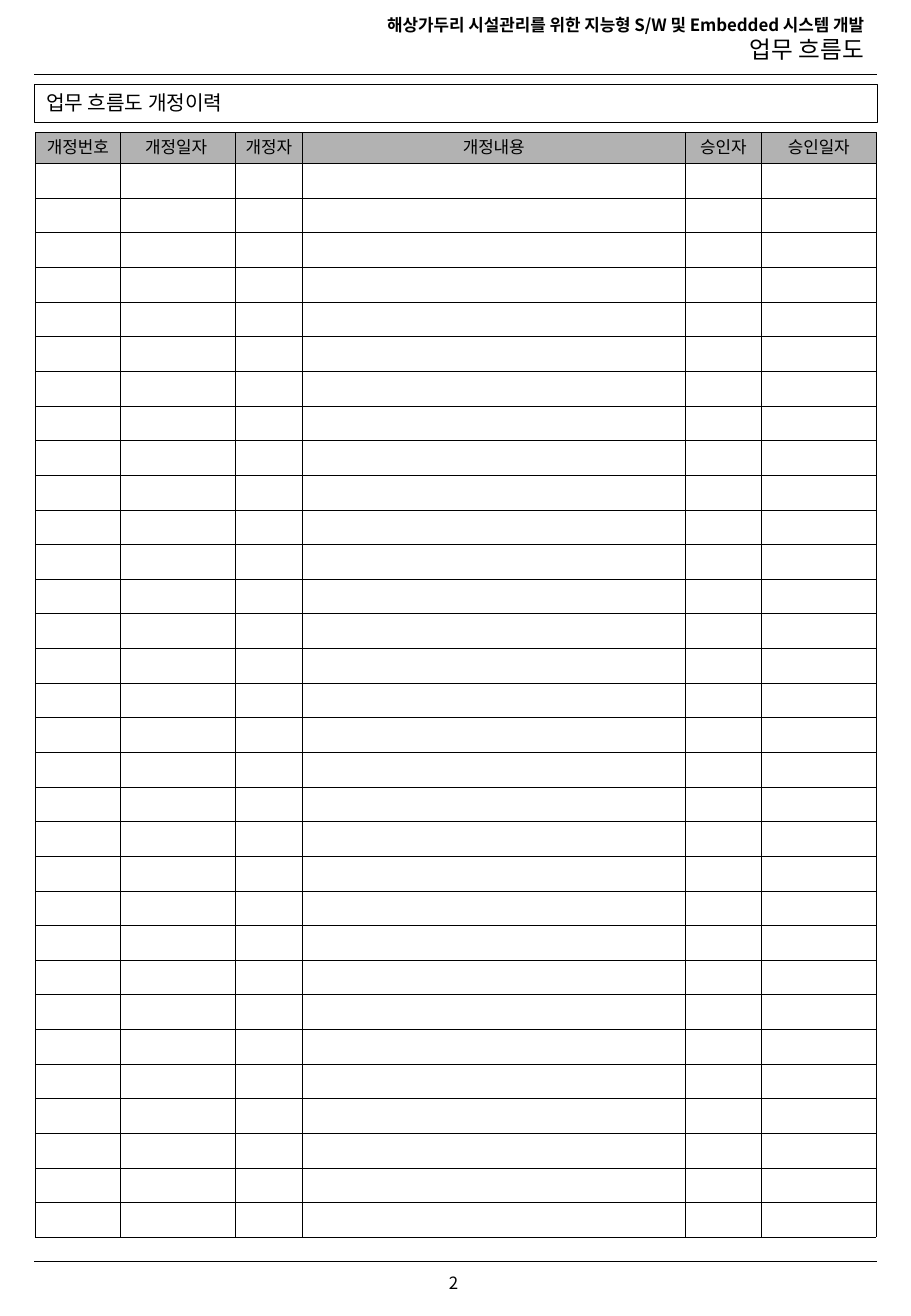
from lxml.etree import SubElement
from pptx import Presentation
from pptx.dml.color import RGBColor
from pptx.enum.shapes import MSO_CONNECTOR as Connector, MSO_SHAPE as Shape
from pptx.enum.text import MSO_ANCHOR as Anchor, PP_ALIGN as Align
from pptx.oxml.ns import qn
from pptx.util import Pt

BLACK = RGBColor(0, 0, 0)
WHITE = RGBColor(255, 255, 255)
HEADER_GRAY = RGBColor(0xB2, 0xB2, 0xB2)
KOREAN_FONT = "Noto Sans CJK KR"
HEADING_FONT = "Cabin"
LINE_WIDTH = Pt(0.25)
LEFT, RIGHT = 20.2, 519.8

COLUMNS = [("개정번호", 50.5), ("개정일자 ", 68.2), ("개정자", 39.6),
           ("개정내용", 227), ("승인자", 45.2), ("승인일자", 68)]
EMPTY_ROWS = 31
HEADER_HEIGHT, ROW_HEIGHT = 18.3, 20.55


def style_paragraph(para, size, align=Align.LEFT, bold=False, font=KOREAN_FONT):
    para.alignment = align
    for span in para.runs:
        span.font.size = Pt(size)
        span.font.bold = bold
        span.font.color.rgb = BLACK
        span.font.name = font
        SubElement(span.font._element, qn("a:ea"), typeface=KOREAN_FONT)


def add_text(page, left, top, width, height, lines, align=Align.LEFT,
             font=KOREAN_FONT, wrap=False):
    """Add a text box; each line is a (text, size, bold) tuple."""
    box = page.shapes.add_textbox(Pt(left), Pt(top), Pt(width), Pt(height))
    frame = box.text_frame
    frame.word_wrap = wrap
    frame.text = "\n".join(text for text, _, _ in lines)
    for para, (_, size, bold) in zip(frame.paragraphs, lines):
        style_paragraph(para, size, align, bold, font)
    return frame


def add_rule(page, top):
    rule = page.shapes.add_connector(Connector.STRAIGHT, Pt(LEFT), Pt(top), Pt(RIGHT), Pt(top))
    rule.line.color.rgb = BLACK
    rule.line.width = LINE_WIDTH
    SubElement(rule._element.spPr, qn("a:effectLst"))


def add_frame(page, top, height):
    frame = page.shapes.add_shape(Shape.RECTANGLE, Pt(LEFT), Pt(top), Pt(RIGHT - LEFT), Pt(height))
    frame.shadow.inherit = False
    frame.fill.background()
    frame.line.color.rgb = BLACK
    frame.line.width = LINE_WIDTH


def style_cell(cell, color):
    properties = cell._tc.get_or_add_tcPr()
    for side in ("a:lnL", "a:lnR", "a:lnT", "a:lnB"):
        border = SubElement(properties, qn(side), w=str(LINE_WIDTH))
        fill = SubElement(border, qn("a:solidFill"))
        SubElement(fill, qn("a:srgbClr"), val=str(BLACK))
    cell.fill.solid()
    cell.fill.fore_color.rgb = color
    cell.vertical_anchor = Anchor.MIDDLE
    cell.margin_left = cell.margin_right = Pt(4)
    cell.margin_top = cell.margin_bottom = 0


def add_revision_table(page, left, top):
    width = sum(column_width for _, column_width in COLUMNS)
    height = HEADER_HEIGHT + EMPTY_ROWS * ROW_HEIGHT
    table = page.shapes.add_table(EMPTY_ROWS + 1, len(COLUMNS), Pt(left), Pt(top),
                                  Pt(width), Pt(height)).table
    table.first_row = table.horz_banding = False
    for row in table.rows:
        row.height = Pt(ROW_HEIGHT)
    table.rows[0].height = Pt(HEADER_HEIGHT)
    for index, (title, column_width) in enumerate(COLUMNS):
        table.columns[index].width = Pt(column_width)
        header = table.cell(0, index)
        style_cell(header, HEADER_GRAY)
        header.text_frame.text = title
        para = header.text_frame.paragraphs[0]
        para.line_spacing = 0.84
        style_paragraph(para, 10, Align.CENTER)
        for row in range(1, EMPTY_ROWS + 1):
            cell = table.cell(row, index)
            style_cell(cell, WHITE)
            # A small end mark keeps the empty row from growing
            SubElement(cell.text_frame.paragraphs[0]._p, qn("a:endParaRPr"), sz="800")


def main():
    deck = Presentation()
    deck.slide_width, deck.slide_height = Pt(540), Pt(779.76)
    page = deck.slides.add_slide(deck.slide_layouts[6])

    number = add_text(page, 240.5, 744.5, 59, 31.7, [("2 ", 10, False)], Align.CENTER)
    number.vertical_anchor = Anchor.MIDDLE
    number.margin_left = number.margin_right = number.margin_top = number.margin_bottom = 0
    for top in (747.4, 43.9):
        add_rule(page, top)
    add_text(page, 167.8, 5, 351.4, 36.7,
             [("해상가두리 시설관리를 위한 지능형 S/W 및 Embedded 시스템 개발", 10, True),
              ("업무 흐름도", 14, False)], Align.RIGHT, wrap=True)

    add_revision_table(page, 20.9, 78.5)
    add_frame(page, 50, 22.7)
    add_text(page, LEFT, 50.2, 130.3, 21.6, [("업무 흐름도 개정이력", 12, False)],
             font=HEADING_FONT)
    deck.save("out.pptx")


if __name__ == "__main__":
    main()
